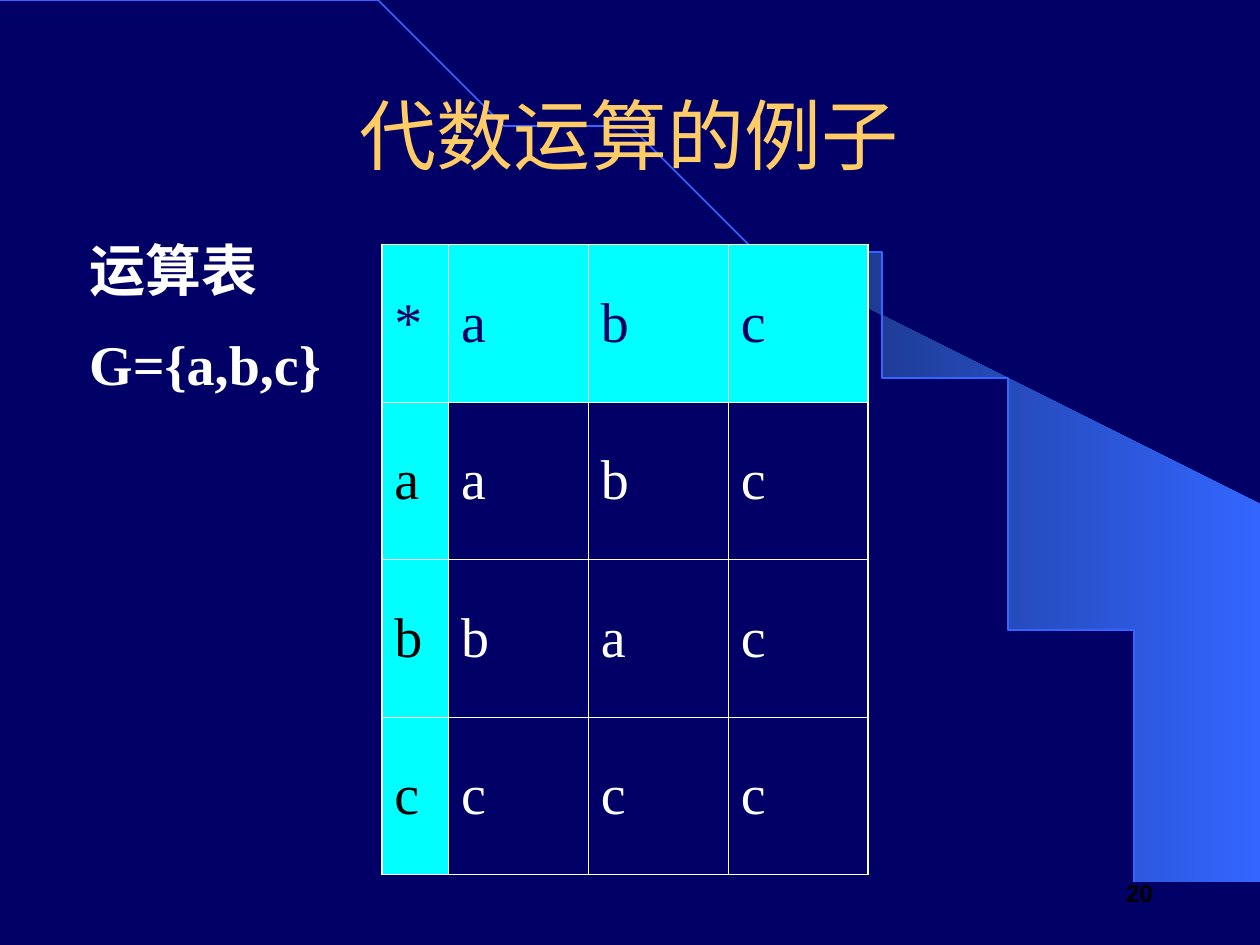
"""Build a slide with the operation table of a three-element set."""
import math

from lxml import etree
from pptx import Presentation
from pptx import util as u
from pptx.dml.color import RGBColor
from pptx.enum import text
from pptx.oxml.ns import qn

WIDTH, HEIGHT = 10, 7.5
ARC_X, ARC_Y = 9.2, 7.49
COLORS = {
    "navy": "000066",
    "shade": "182F76",
    "blue": "3366FF",
    "gold": "FFCC66",
    "cyan": "00FFFF",
    "white": "FFFFFF",
    "black": "000000",
}
OPERATION = ["*abc", "aabc", "bbac", "cccc"]
COLUMNS = [0.53, 1.11, 1.11, 1.11]
ROW_HEIGHT = 1.25


def color(name):
    """Return the named colour."""
    return RGBColor.from_string(COLORS[name])


def write(frame, content, size=32, font="Times New Roman", tint="white",
          bold=False, align=text.PP_ALIGN.LEFT, spacing=None,
          anchor=text.MSO_ANCHOR.TOP):
    """Fill a text frame with one paragraph per line of content."""
    frame.word_wrap = True
    frame.vertical_anchor = anchor
    for number, line in enumerate(content.split("\n")):
        paragraph = frame.add_paragraph() if number else frame.paragraphs[0]
        paragraph.alignment = align
        paragraph.line_spacing = spacing
        run = paragraph.add_run()
        run.text = line
        run.font.size = u.Pt(size)
        run.font.name = font
        run.font.bold = bold
        run.font.color.rgb = color(tint)


def add_label(slide, left, top, width, height, content, **look):
    """Add a text box placed in inches."""
    box = slide.shapes.add_textbox(*map(u.Inches, (left, top, width, height)))
    write(box.text_frame, content, **look)


def arc_points(start, steps=60):
    """List points of the sweeping ellipse from an angle in degrees down to zero."""
    angles = [math.radians(start * (1 - step / steps)) for step in range(steps + 1)]
    return [(ARC_X * math.cos(a), ARC_Y * (1 - math.sin(a))) for a in angles]


def add_outline(slide, points, close):
    """Draw a freeform through points given in inches."""
    builder = slide.shapes.build_freeform(*points[0], scale=u.Inches(1))
    builder.add_line_segments(points[1:], close=close)
    outline = builder.convert_to_shape()
    outline.shadow.inherit = False
    return outline


def add_sweep(slide):
    """Draw the gradient wedge and the thin arc behind the content."""
    wedge = add_outline(slide, arc_points(50.25) + [(9.99, 7.49), (9.99, 4.23)], True)
    wedge.line.fill.background()
    wedge.fill.gradient()
    wedge.fill.gradient_angle = 0
    for stop, name in zip(wedge.fill.gradient_stops, ("shade", "blue")):
        stop.color.rgb = color(name)

    arc = add_outline(slide, arc_points(90), False)
    arc.fill.background()
    arc.line.color.rgb = color("blue")
    arc.line.width = u.Pt(1)


def set_borders(cell, row, column):
    """Draw white cell borders, heavier on the outside of the table."""
    last_row, last_column = len(OPERATION) - 1, len(COLUMNS) - 1
    outer = {"lnL": column == 0, "lnR": column == last_column,
             "lnT": row == 0, "lnB": row == last_row}
    properties = cell._tc.get_or_add_tcPr()
    for place, (tag, heavy) in enumerate(outer.items()):
        border = etree.Element(qn(f"a:{tag}"), w=str(u.Pt(1.08 if heavy else 0.45)))
        fill = etree.SubElement(border, qn("a:solidFill"))
        etree.SubElement(fill, qn("a:srgbClr"), val=COLORS["white"])
        properties.insert(place, border)


def add_operation_table(slide, left, top):
    """Add the operation table with a cyan heading row and column."""
    size = (sum(COLUMNS), ROW_HEIGHT * len(OPERATION))
    table = slide.shapes.add_table(
        len(OPERATION), len(COLUMNS), *map(u.Inches, (left, top, *size))).table
    table.first_row = table.horz_banding = False
    for column, width in zip(table.columns, COLUMNS):
        column.width = u.Inches(width)
    for row, symbols in enumerate(OPERATION):
        for column, symbol in enumerate(symbols):
            cell = table.cell(row, column)
            if row == 0 or column == 0:
                cell.fill.solid()
                cell.fill.fore_color.rgb = color("cyan")
            else:
                cell.fill.background()
            tint = "navy" if row == 0 else "black" if column == 0 else "white"
            write(cell.text_frame, symbol, tint=tint)
            cell.vertical_anchor = text.MSO_ANCHOR.MIDDLE
            set_borders(cell, row, column)


def main():
    """Compose and save the slide."""
    deck = Presentation()
    deck.slide_width, deck.slide_height = u.Inches(WIDTH), u.Inches(HEIGHT)
    slide = deck.slides.add_slide(deck.slide_layouts[6])
    slide.background.fill.solid()
    slide.background.fill.fore_color.rgb = color("navy")

    add_sweep(slide)
    add_label(slide, 0.61, 0.58, 8.77, 0.97, "代数运算的例子", size=44, font="Arial",
              tint="gold", align=text.PP_ALIGN.CENTER, anchor=text.MSO_ANCHOR.MIDDLE)
    add_label(slide, 0.61, 1.61, 4.45, 5, "运算表\nG={a,b,c}", bold=True, spacing=1.4)
    add_operation_table(slide, 3.03, 1.94)
    add_label(slide, 8.25, 6.91, 1, 0.35, "20", size=14, font="Arial", tint="black",
              bold=True, align=text.PP_ALIGN.RIGHT, anchor=text.MSO_ANCHOR.MIDDLE)
    deck.save("out.pptx")


if __name__ == "__main__":
    main()
